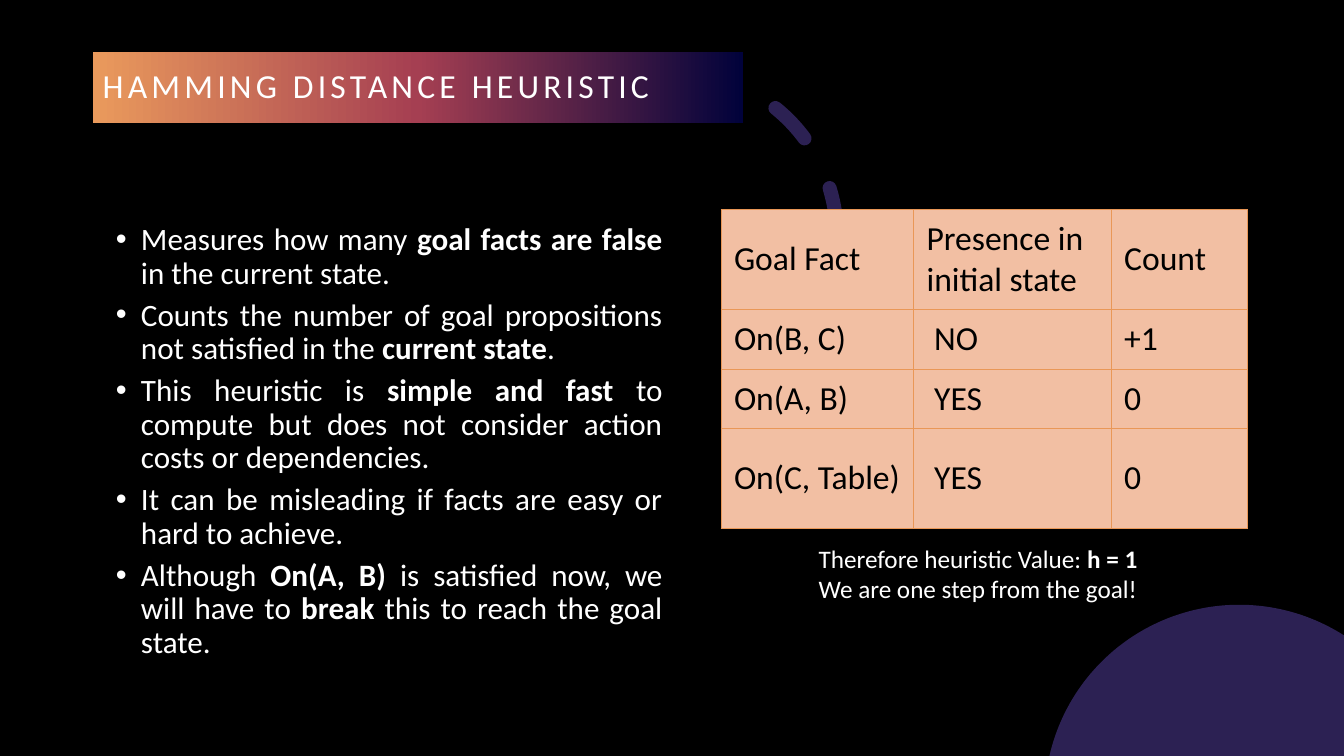
from copy import deepcopy
from math import cos, radians, sin

from lxml.etree import SubElement
from pptx import Presentation
from pptx.dml.color import RGBColor
from pptx.enum.dml import MSO_LINE
from pptx.enum.shapes import MSO_SHAPE as SHAPE
from pptx.enum.text import MSO_ANCHOR as ANCHOR, PP_ALIGN as ALIGN
from pptx.oxml.ns import qn
from pptx.util import Inches, Pt

COLORS = {"bg": "000000", "violet": "2C2153", "white": "FFFFFF", "black": "000000",
          "navy": "01023B", "rose": "A53F52", "amber": "EA9A5C",
          "cell": "F2BFA3", "border": "E99757"}
FONT = "Calibri"

POINTS = [
    [("Measures how many ", False), ("goal facts are false", True), (" in the current state.", False)],
    [("Counts the number of goal propositions not satisfied in the ", False),
     ("current state", True), (".", False)],
    [("This heuristic is ", False), ("simple and fast ", True),
     ("to compute but does not consider action costs or dependencies.", False)],
    [("It can be misleading if facts are easy or hard to achieve.", False)],
    [("Although ", False), ("On(A, B) ", True), ("is satisfied now, we will have to ", False),
     ("break", True), (" this to reach the goal state.", False)],
]
CONCLUSION = [
    [("Therefore heuristic Value: ", False), ("h = 1", True)],
    [("We are one step from the goal!", False)],
]
FACTS = [
    ("Goal Fact", "Presence in initial state", "Count"),
    ("On(B, C)", " NO", "+1"),
    ("On(A, B)", " YES", "0"),
    ("On(C, Table)", " YES", "0"),
]
COLUMN_WIDTHS = (1.91, 1.96, 1.35)
ROW_HEIGHTS = (0.99, 0.59, 0.59, 0.99)


def rgb(name):
    """Return a palette colour."""
    return RGBColor.from_string(COLORS[name])


def style_run(r, size, color, bold=False):
    """Set the font of a run."""
    r.font.name, r.font.size, r.font.bold = FONT, Pt(size), bold
    r.font.color.rgb = rgb(color)


def add_corner_disc(s):
    """Add the part of a disc that shows in the lower right corner."""
    cx, cy, radius = 12.29, 7.93, 1.93
    start, end, steps = -77.2, 32.7, 72
    angles = [radians(start + (end - start) * i / steps) for i in range(steps + 1)]
    rim = [(Inches(cx + radius * sin(a)), Inches(cy - radius * cos(a))) for a in angles]
    builder = s.shapes.build_freeform(*rim[0])
    builder.add_line_segments(rim[1:] + [(Inches(13.33), Inches(7.5))])
    sp = builder.convert_to_shape()
    sp.shadow.inherit = False
    sp.fill.solid()
    sp.fill.fore_color.rgb = rgb("violet")
    sp.line.fill.background()


def add_dashed_arc(s):
    """Add the thick dashed arc with round caps."""
    sp = s.shapes.add_shape(SHAPE.ARC, Inches(5.03), Inches(0.71), Inches(3.27), Inches(3.27))
    sp.adjustments[0], sp.adjustments[1] = 144.418, 0
    sp.shadow.inherit = False
    sp.fill.background()
    sp.line.color.rgb = rgb("violet")
    sp.line.width = Pt(10)
    sp.line.dash_style = MSO_LINE.DASH
    sp.line._get_or_add_ln().set("cap", "rnd")


def add_title(s, text):
    """Add the title on its gradient bar."""
    sp = s.shapes.add_shape(SHAPE.RECTANGLE, Inches(0.92), Inches(0.52), Inches(6.45), Inches(0.7))
    sp.shadow.inherit = False
    sp.line.fill.background()
    sp.fill.gradient()
    sp.fill.gradient_angle = 180
    first = sp._element.spPr.find(".//" + qn("a:gs"))
    first.addnext(deepcopy(first))
    for stop, position, name in zip(sp.fill.gradient_stops, (0, 0.5, 1), ("navy", "rose", "amber")):
        stop.position = position
        stop.color.rgb = rgb(name)
    tf = sp.text_frame
    tf.text = text
    tf.word_wrap = True
    tf.vertical_anchor = ANCHOR.MIDDLE
    p = tf.paragraphs[0]
    p.alignment, p.line_spacing = ALIGN.LEFT, 0.9
    style_run(p.runs[0], 24, "white")
    p.runs[0].font._element.set("spc", "300")


def add_text(s, box, paragraphs, size):
    """Add a text box with mixed bold runs and return its paragraphs."""
    tf = s.shapes.add_textbox(*map(Inches, box)).text_frame
    tf.word_wrap = True
    for i, parts in enumerate(paragraphs):
        p = tf.add_paragraph() if i else tf.paragraphs[0]
        for text, bold in parts:
            r = p.add_run()
            r.text = text
            style_run(r, size, "white", bold)
    return tf.paragraphs


def set_bullet(p):
    """Make a paragraph a justified bullet point."""
    p.alignment, p.line_spacing, p.space_after = ALIGN.JUSTIFY, 0.9, Pt(6)
    pPr = p._p.get_or_add_pPr()
    pPr.set("marL", str(Inches(0.38)))
    pPr.set("indent", str(Inches(-0.25)))
    SubElement(pPr, qn("a:buFont"), typeface="Arial")
    SubElement(pPr, qn("a:buChar"), char="•")


def style_cell(cell):
    """Set the borders, fill, margins and font of a cell."""
    tcPr = cell._tc.get_or_add_tcPr()
    for side in ("lnL", "lnR", "lnT", "lnB"):
        ln = SubElement(tcPr, qn("a:" + side), w=str(Pt(0.5)))
        fill = SubElement(ln, qn("a:solidFill"))
        SubElement(fill, qn("a:srgbClr"), val=COLORS["border"])
    cell.fill.solid()
    cell.fill.fore_color.rgb = rgb("cell")
    cell.vertical_anchor = ANCHOR.MIDDLE
    cell.margin_left = cell.margin_right = Inches(0.13)
    cell.margin_top = cell.margin_bottom = Inches(0.07)
    style_run(cell.text_frame.paragraphs[0].runs[0], 24, "black")


def add_fact_table(s):
    """Add the table of goal facts."""
    table = s.shapes.add_table(len(FACTS), len(COLUMN_WIDTHS), Inches(7.15), Inches(2.08),
                               Inches(sum(COLUMN_WIDTHS)), Inches(sum(ROW_HEIGHTS))).table
    table.first_row = table.horz_banding = False
    for column, width in zip(table.columns, COLUMN_WIDTHS):
        column.width = Inches(width)
    for row, height, texts in zip(table.rows, ROW_HEIGHTS, FACTS):
        row.height = Inches(height)
        for cell, text in zip(row.cells, texts):
            cell.text = text
            style_cell(cell)


def main():
    """Build the slide and save it."""
    prs = Presentation()
    prs.slide_width, prs.slide_height = Inches(13.33), Inches(7.5)
    s = prs.slides.add_slide(prs.slide_layouts[6])
    s.background.fill.solid()
    s.background.fill.fore_color.rgb = rgb("bg")
    add_corner_disc(s)
    add_dashed_arc(s)
    add_title(s, "HAMMING DISTANCE HEURISTIC")
    for p in add_text(s, (0.92, 2.17, 5.75, 4.58), POINTS, 22.2):
        set_bullet(p)
    add_fact_table(s)
    add_text(s, (8.02, 5.34, 3.42, 0.71), CONCLUSION, 18)
    prs.save("out.pptx")


if __name__ == "__main__":
    main()
